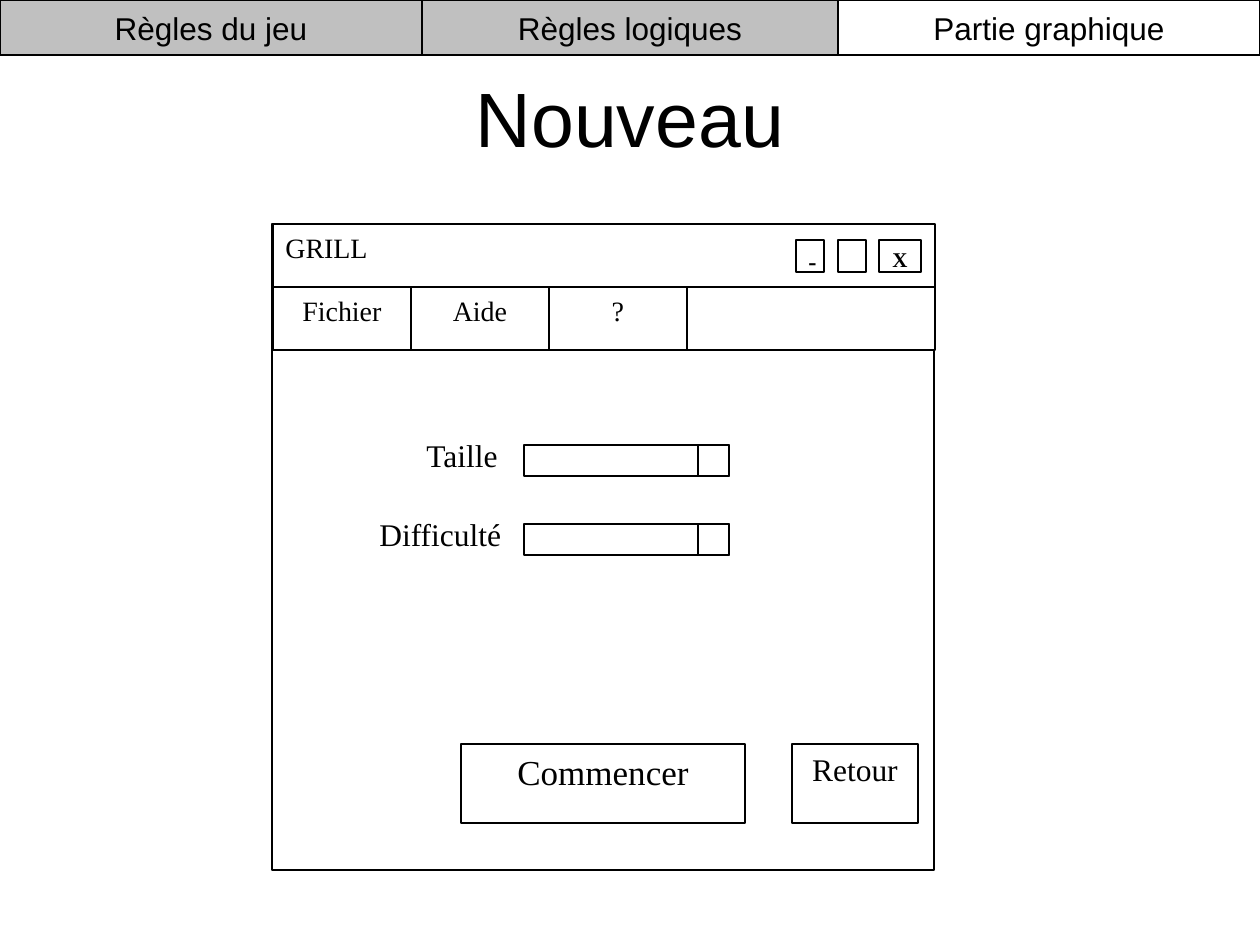
from dataclasses import dataclass

from pptx import Presentation
from pptx.dml.color import RGBColor
from pptx.enum.shapes import MSO_SHAPE
from pptx.enum.text import MSO_ANCHOR, PP_ALIGN
from pptx.shapes.shapetree import GroupShapes, SlideShapes
from pptx.util import Emu, Pt

RECTANGLE = MSO_SHAPE.RECTANGLE
LEFT, CENTER = PP_ALIGN.LEFT, PP_ALIGN.CENTER
TOP, MIDDLE = MSO_ANCHOR.TOP, MSO_ANCHOR.MIDDLE

EMU_PER_PX = 914400 / 126
COLORS = {"ink": "000000", "paper": "FFFFFF", "inactive": "C0C0C0"}
SANS, SERIF = "Arial", "Times New Roman"


@dataclass(frozen=True)
class Box:
    left: int
    top: int
    width: int
    height: int
    label: str = ""
    size: int = 16
    font: str = SERIF
    bold: bool = False
    align: PP_ALIGN = CENTER
    anchor: MSO_ANCHOR = TOP
    wrap: bool = True
    fill: str | None = "paper"
    outlined: bool = True


def px(length: int) -> Emu:
    return Emu(round(length * EMU_PER_PX))


def color(name: str) -> RGBColor:
    return RGBColor.from_string(COLORS[name])


def apply_format(target: object, values: dict[str, object]) -> None:
    for attribute, value in values.items():
        setattr(target, attribute, value)


def draw_box(shapes: SlideShapes | GroupShapes, box: Box) -> None:
    rectangle = shapes.add_shape(
        RECTANGLE, px(box.left), px(box.top), px(box.width), px(box.height)
    )
    rectangle.shadow.inherit = False
    if box.fill:
        rectangle.fill.solid()
        rectangle.fill.fore_color.rgb = color(box.fill)
    else:
        rectangle.fill.background()
    if box.outlined:
        rectangle.line.color.rgb = color("ink")
        rectangle.line.width = Pt(0.75)
    else:
        rectangle.line.fill.background()
    if box.label:
        frame = rectangle.text_frame
        apply_format(frame, {"word_wrap": box.wrap, "vertical_anchor": box.anchor})
        paragraph = frame.paragraphs[0]
        paragraph.alignment = box.align
        run = paragraph.add_run()
        run.text = box.label
        apply_format(
            run.font, {"name": box.font, "size": Pt(box.size), "bold": box.bold}
        )
        run.font.color.rgb = color("ink")


def draw_title(shapes: SlideShapes, text: str) -> None:
    title = shapes.add_textbox(px(63), px(38), px(1134), px(158))
    apply_format(title.text_frame, {"word_wrap": True, "vertical_anchor": MIDDLE})
    paragraph = title.text_frame.paragraphs[0]
    paragraph.alignment = CENTER
    run = paragraph.add_run()
    run.text = text
    apply_format(run.font, {"name": SANS, "size": Pt(44)})
    run.font.color.rgb = color("ink")


def section_tab(left: int, width: int, label: str, fill: str) -> Box:
    return Box(left, 0, width, 55, label, 18, SANS,
               anchor=MIDDLE, wrap=False, fill=fill)


def dropdown_row(label: str, label_left: int, top: int) -> list[Box]:
    field_left, field_width, arrow_width, height = 524, 205, 31, 31
    return [
        Box(label_left, top - 15, field_left - label_left, 63, label, 18,
            align=LEFT, outlined=False),
        Box(field_left, top, field_width, height),
        Box(field_left + field_width - arrow_width, top, arrow_width, height),
    ]


def window_boxes() -> list[Box]:
    left, top, width, bar = 273, 224, 662, 63
    menu_top, menu_width = top + bar, 138
    menus = ["Fichier", "Aide", "?"]
    rest_left = left + len(menus) * menu_width
    return [
        Box(left - 1, top, width, 646, fill=None),
        Box(left, top, width, bar, "GRILL", align=LEFT),
        *(Box(left + i * menu_width, menu_top, menu_width, bar, name)
          for i, name in enumerate(menus)),
        Box(rest_left, menu_top, left + width - rest_left, bar),
        Box(879, 240, 42, 32, "X", 12, bold=True),
        Box(838, 240, 28, 32),
        Box(796, 240, 28, 32, "-", 14, bold=True),
        *dropdown_row("Taille", 414, 445),
        *dropdown_row("Difficulté", 367, 524),
        Box(461, 744, 284, 79, "Commencer", 20),
        Box(792, 744, 126, 79, "Retour", 18),
    ]


def main() -> None:
    presentation = Presentation()
    apply_format(presentation, {"slide_width": px(1260), "slide_height": px(945)})
    slide = presentation.slides.add_slide(presentation.slide_layouts[6])

    draw_title(slide.shapes, "Nouveau")
    window = slide.shapes.add_group_shape()
    for box in window_boxes():
        draw_box(window.shapes, box)
    for tab in (
        section_tab(0, 1260, "Règles logiques", "inactive"),
        section_tab(0, 422, "Règles du jeu", "inactive"),
        section_tab(838, 422, "Partie graphique", "paper"),
    ):
        draw_box(slide.shapes, tab)

    presentation.save("out.pptx")


if __name__ == "__main__":
    main()
